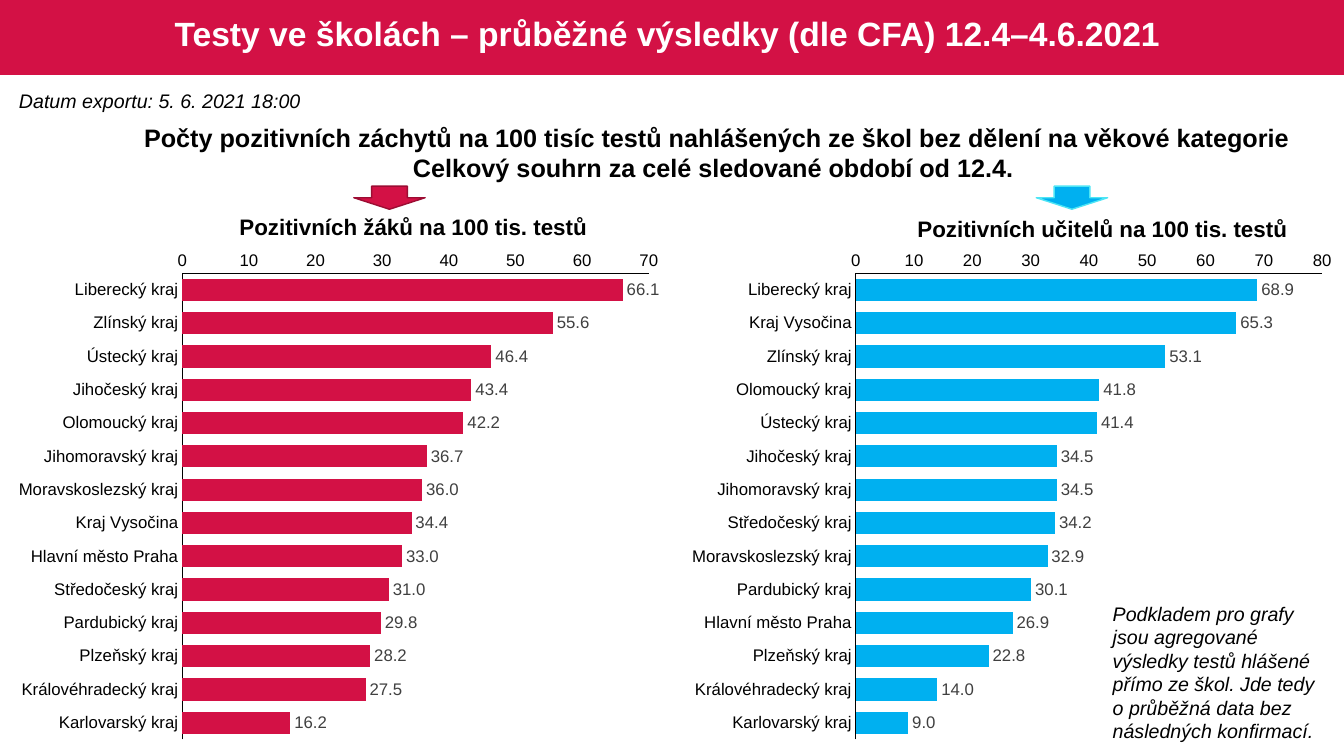
from lxml import etree
from pptx import Presentation
from pptx.chart.data import CategoryChartData
from pptx.dml.color import RGBColor
from pptx.enum.chart import XL_CHART_TYPE, XL_LABEL_POSITION, XL_TICK_MARK
from pptx.enum.shapes import MSO_SHAPE
from pptx.enum.text import MSO_ANCHOR, MSO_AUTO_SIZE, PP_ALIGN
from pptx.oxml.ns import qn
from pptx.util import Pt

COLORS = {
    "crimson": "D31145",
    "crimson_edge": "9C0D33",
    "blue": "00B0F0",
    "blue_edge": "4DE5F5",
    "white": "FFFFFF",
    "black": "000000",
    "label": "404040",
}
FONT = "Arial"
PLOT_LAYOUT = {"x": 0.26, "y": 0.06, "w": 0.7, "h": 0.92}

PUPILS = [
    ("Liberecký kraj", 66.1), ("Zlínský kraj", 55.6), ("Ústecký kraj", 46.4),
    ("Jihočeský kraj", 43.4), ("Olomoucký kraj", 42.2), ("Jihomoravský kraj", 36.7),
    ("Moravskoslezský kraj", 36), ("Kraj Vysočina", 34.4), ("Hlavní město Praha", 33),
    ("Středočeský kraj", 31), ("Pardubický kraj", 29.8), ("Plzeňský kraj", 28.2),
    ("Královéhradecký kraj", 27.5), ("Karlovarský kraj", 16.2),
]
TEACHERS = [
    ("Liberecký kraj", 68.9), ("Kraj Vysočina", 65.3), ("Zlínský kraj", 53.1),
    ("Olomoucký kraj", 41.8), ("Ústecký kraj", 41.4), ("Jihočeský kraj", 34.5),
    ("Jihomoravský kraj", 34.5), ("Středočeský kraj", 34.2), ("Moravskoslezský kraj", 32.9),
    ("Pardubický kraj", 30.1), ("Hlavní město Praha", 26.9), ("Plzeňský kraj", 22.8),
    ("Královéhradecký kraj", 14), ("Karlovarský kraj", 9),
]


def color(name):
    """Return the named palette colour."""
    return RGBColor.from_string(COLORS[name])


def style_font(font, size, color_name="black", bold=False, italic=False):
    """Apply the slide's typeface, size, colour and emphasis."""
    font.name = FONT
    font.size = Pt(size)
    font.bold = bold
    font.italic = italic
    font.color.rgb = color(color_name)


def place(item, box):
    """Set left, top, width and height in points."""
    item.left, item.top, item.width, item.height = map(Pt, box)


def add_filled_shape(slide, preset, box, fill, edge=None):
    """Draw a flat preset shape with an optional outline."""
    filled = slide.shapes.add_shape(preset, *map(Pt, box))
    filled.shadow.inherit = False
    filled.fill.solid()
    filled.fill.fore_color.rgb = color(fill)
    if edge:
        filled.line.color.rgb = color(edge)
        filled.line.width = Pt(1)
    else:
        filled.line.fill.background()
    return filled


def add_header(slide, heading):
    """Place the title placeholder on a crimson band."""
    band = add_filled_shape(slide, MSO_SHAPE.RECTANGLE, (0, 0, 960, 53.5), "crimson")
    title = slide.shapes.title
    band._element.addnext(title._element)
    place(title, (13, 3, 934, 45))
    frame = title.text_frame
    frame.vertical_anchor = MSO_ANCHOR.MIDDLE
    frame.auto_size = MSO_AUTO_SIZE.NONE
    paragraph = frame.paragraphs[0]
    paragraph.alignment = PP_ALIGN.CENTER
    paragraph.line_spacing = 0.9
    run = paragraph.add_run()
    run.text = heading
    style_font(run.font, 24, "white", bold=True)


def add_text(slide, box, lines, size, align=PP_ALIGN.LEFT, wrap=False, **emphasis):
    """Add a text box with one paragraph for each line."""
    frame = slide.shapes.add_textbox(*map(Pt, box)).text_frame
    frame.word_wrap = wrap
    frame.auto_size = MSO_AUTO_SIZE.SHAPE_TO_FIT_TEXT
    for index, line in enumerate(lines):
        paragraph = frame.add_paragraph() if index else frame.paragraphs[0]
        paragraph.alignment = align
        run = paragraph.add_run()
        run.text = line
        style_font(run.font, size, **emphasis)


def fix_plot_area(chart):
    """Pin the inner plot area to fixed fractions of the chart."""
    plot_area = chart._chartSpace.chart.plotArea
    for old_layout in plot_area.findall(qn("c:layout")):
        plot_area.remove(old_layout)
    layout = etree.Element(qn("c:layout"))
    plot_area.insert(0, layout)
    manual = etree.SubElement(layout, qn("c:manualLayout"))
    settings = {"layoutTarget": "inner", "xMode": "edge", "yMode": "edge", **PLOT_LAYOUT}
    for tag, value in settings.items():
        etree.SubElement(manual, qn(f"c:{tag}")).set("val", str(value))


def style_axis(axis):
    """Give an axis a thin black line without ticks or gridlines."""
    axis.has_major_gridlines = False
    axis.major_tick_mark = XL_TICK_MARK.NONE
    axis.minor_tick_mark = XL_TICK_MARK.NONE
    axis.format.line.color.rgb = color("black")
    axis.format.line.width = Pt(0.75)
    style_font(axis.tick_labels.font, 12)


def add_region_chart(slide, left, regions, fill, maximum):
    """Add a ranked bar chart of positive tests by region."""
    data = CategoryChartData()
    data.categories = [region for region, rate in regions]
    data.add_series("Series 1", [rate for region, rate in regions])
    box = map(Pt, (left, 173.5, 476, 362))
    chart = slide.shapes.add_chart(XL_CHART_TYPE.BAR_CLUSTERED, *box, data).chart
    chart.has_legend = False
    chart.has_title = False
    style_font(chart.font, 10)
    fix_plot_area(chart)

    style_axis(chart.category_axis)
    chart.category_axis.reverse_order = True
    rate_axis = chart.value_axis
    style_axis(rate_axis)
    rate_axis.minimum_scale = 0
    rate_axis.maximum_scale = maximum
    rate_axis.major_unit = 10

    plot = chart.plots[0]
    plot.gap_width = 50
    plot.vary_by_categories = False
    bars = plot.series[0]
    bars.format.fill.solid()
    bars.format.fill.fore_color.rgb = color(fill)
    labels = bars.data_labels
    labels.show_value = True
    labels.number_format = "#,##0.0"
    labels.number_format_is_linked = False
    labels.position = XL_LABEL_POSITION.OUTSIDE_END
    style_font(labels.font, 12, "label")


def main():
    """Build the school testing slide and save it."""
    presentation = Presentation()
    presentation.slide_width = Pt(960)
    presentation.slide_height = Pt(540)
    slide = presentation.slides.add_slide(presentation.slide_layouts[5])
    center = PP_ALIGN.CENTER

    add_header(slide, "Testy ve školách – průběžné výsledky (dle CFA) 12.4–4.6.2021 ")
    add_region_chart(slide, 6.5, PUPILS, "crimson", 70)
    add_text(slide, (162, 149, 266.5, 26.5), ["Pozitivních žáků na 100 tis. testů"],
             16, center, bold=True)
    add_region_chart(slide, 487.5, TEACHERS, "blue", 80)
    add_text(slide, (646.5, 150, 282, 26.5), ["Pozitivních učitelů na 100 tis. testů"],
             16, center, bold=True)
    add_text(slide, (6.5, 60, 224.5, 24.5), ["Datum exportu: 5. 6. 2021 18:00"],
             14, italic=True)
    add_text(slide, (92, 83.5, 840, 51), [
        "Počty pozitivních záchytů na 100 tisíc testů nahlášených ze škol "
        "bez dělení na věkové kategorie",
        "Celkový souhrn za celé sledované období od 12.4. ",
    ], 18, center, bold=True)
    for left, fill in ((252.7, "crimson"), (740.2, "blue")):
        add_filled_shape(slide, MSO_SHAPE.DOWN_ARROW, (left, 133, 51, 16.5), fill, f"{fill}_edge")
    add_text(slide, (787.7, 426.2, 169.2, 108.7), [
        "Podkladem pro grafy jsou agregované výsledky testů hlášené přímo ze škol. "
        "Jde tedy o průběžná data bez následných konfirmací.",
    ], 14, wrap=True, italic=True)

    presentation.save("out.pptx")


if __name__ == "__main__":
    main()
